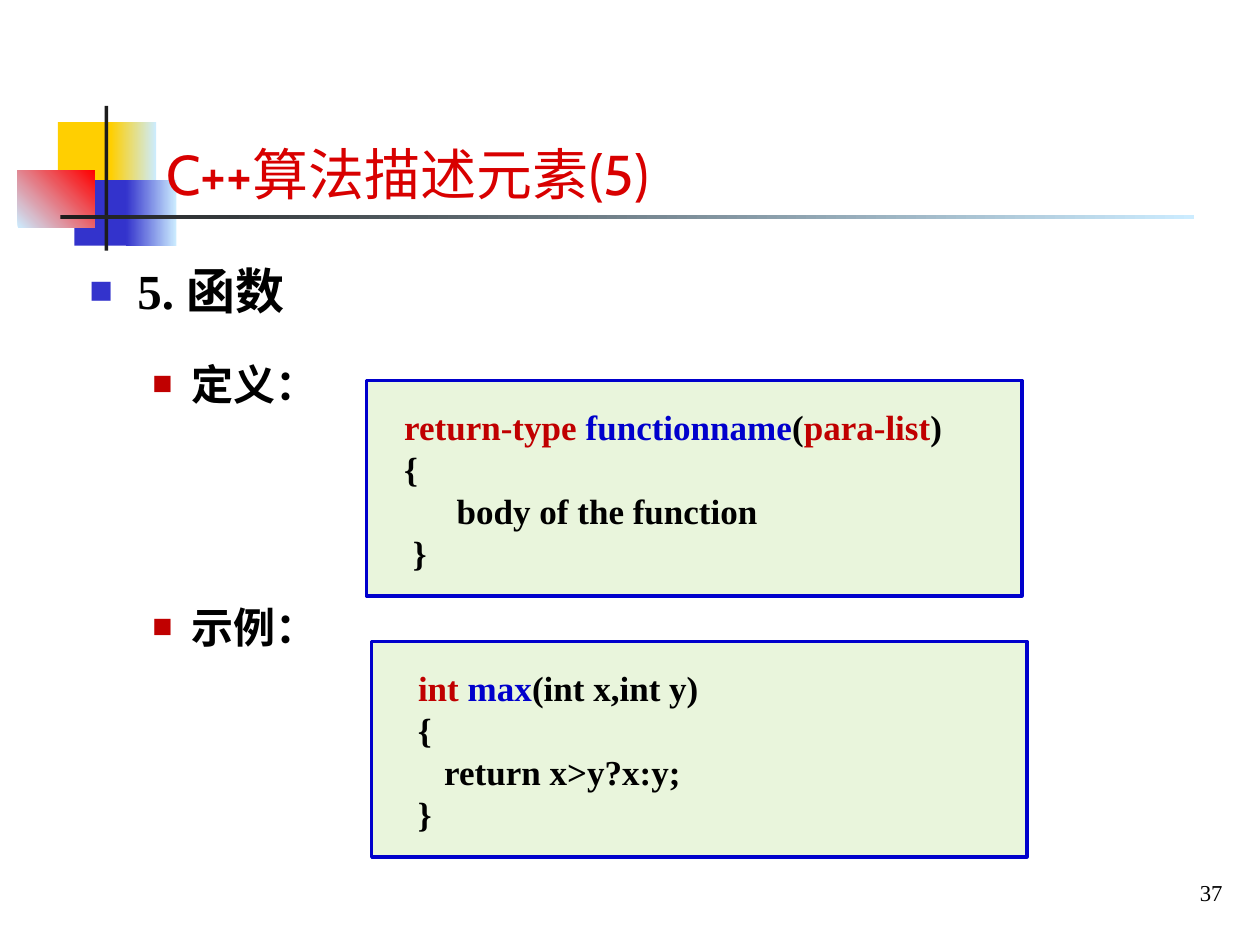
from lxml import etree
from pptx import Presentation
from pptx.dml.color import RGBColor
from pptx.enum import shapes, text
from pptx.oxml import ns
from pptx.util import Inches, Pt

RED, BLUE, BLACK = "C00000", "0000CC", "000000"
GOLD, INDIGO, PALE, DARK = "FFCF01", "3333CC", "CCECFF", "1C1C1C"
SERIF = "Times New Roman"


def rgb(value):
    return RGBColor.from_string(value)


def add_run(paragraph, words, size, color, font=SERIF, bold=True):
    run = paragraph.add_run()
    run.text = words
    for key, value in {"size": Pt(size), "name": font, "bold": bold}.items():
        setattr(run.font, key, value)
    run.font.color.rgb = rgb(color)


prs = Presentation()
prs.slide_width, prs.slide_height = Inches(10), Inches(7.5)
slide = prs.slides.add_slide(prs.slide_layouts[1])
title, body = slide.placeholders

# Corner ornament and rule: position, colours, gradient angle
ornament = [
    ((0.46, 0.97, 0.48, 0.52), [GOLD], 0),
    ((0.88, 0.97, 0.36, 0.52), [GOLD, PALE], 0),
    ((0.59, 1.43, 0.46, 0.52), [INDIGO], 0),
    ((1, 1.43, 0.4, 0.52), [INDIGO, PALE], 0),
    ((0.14, 1.35, 0.61, 0.46), [PALE, "FF0000"], 45),
    ((0.83, 0.84, 0.03, 1.15), [DARK], 0),
    ((0.48, 1.71, 9, 0.03), [DARK, PALE], 0),
]
for place, colors, angle in ornament:
    block = slide.shapes.add_shape(shapes.MSO_SHAPE.RECTANGLE, *map(Inches, place))
    block.shadow.inherit = False
    block.line.fill.background()
    if len(colors) == 1:
        block.fill.solid()
        block.fill.fore_color.rgb = rgb(colors[0])
    else:
        block.fill.gradient()
        block.fill.gradient_angle = angle
        for stop, color in zip(block.fill.gradient_stops, colors):
            stop.color.rgb = rgb(color)

# Title and outline lie above the ornament
for holder, place in ((title, (1.22, 0.6, 8.42, 1.09)), (body, (0.61, 2.02, 8.88, 5.36))):
    holder.left, holder.top, holder.width, holder.height = map(Inches, place)
    holder.text_frame.auto_size = text.MSO_AUTO_SIZE.NONE
    holder.element.getparent().append(holder.element)

title.text_frame.vertical_anchor = text.MSO_ANCHOR.BOTTOM
heading = title.text_frame.paragraphs[0]
heading.alignment = text.PP_ALIGN.LEFT
add_run(heading, "C++算法描述元素(5)", 32, "D80000", "Cabin", False)

# Outline: words, level, size, bullet colour, left margin, hanging indent, space before
outline = [
    ("5. 函数", 0, 28, INDIGO, 0.38, 0.38, 0),
    ("定义：", 1, 24, RED, 0.81, 0.31, 22),
    ("示例：", 1, 24, RED, 0.81, 0.31, 110),
]
for i, (words, level, size, color, margin, hanging, gap) in enumerate(outline):
    item = body.text_frame.add_paragraph() if i else body.text_frame.paragraphs[0]
    item.level = level
    props = item._p.get_or_add_pPr()
    props.set("marL", str(Inches(margin)))
    props.set("indent", str(-Inches(hanging)))
    bullet_color = etree.SubElement(props, ns.qn("a:buClr"))
    etree.SubElement(bullet_color, ns.qn("a:srgbClr"), val=color)
    etree.SubElement(props, ns.qn("a:buSzPct"), val="80000")
    etree.SubElement(props, ns.qn("a:buChar"), char="■")
    item.space_before = Pt(gap)
    add_run(item, words, size, BLACK)

# Code panels: left, top, lines of (words, colour)
panels = [
    (2.91, 3.02, [
        [("return-type ", RED), ("functionname", BLUE), ("(", BLACK),
         ("para-list", RED), (")", BLACK)],
        [("{", BLACK)],
        [("      body of the function", BLACK)],
        [(" }", BLACK)],
    ]),
    (2.95, 5.09, [
        [(" ", BLACK), ("int ", RED), ("max", BLUE), ("(int x,int y)", BLACK)],
        [(" {", BLACK)],
        [("    return x>y?x:y;", BLACK)],
        [(" }", BLACK)],
    ]),
]
for left, top, lines in panels:
    panel = slide.shapes.add_shape(
        shapes.MSO_SHAPE.RECTANGLE, Inches(left), Inches(top), Inches(5.2), Inches(1.71))
    panel.shadow.inherit = False
    panel.fill.solid()
    panel.fill.fore_color.rgb = rgb("92D050")
    tint = panel.element.spPr.find(ns.qn("a:solidFill"))[0]
    etree.SubElement(tint, ns.qn("a:alpha"), val="20000")
    panel.line.color.rgb = rgb(BLUE)
    panel.line.width = Pt(2)

    code = slide.shapes.add_textbox(
        Inches(left + 0.2), Inches(top + 0.15), Inches(5), Inches(1.44)).text_frame
    code.word_wrap = True
    for i, line in enumerate(lines):
        row = code.add_paragraph() if i else code.paragraphs[0]
        for words, color in line:
            add_run(row, words, 20, color)

page = slide.shapes.add_textbox(
    Inches(7.89), Inches(6.9), Inches(1.91), Inches(0.37)).text_frame
page.word_wrap = True
page.vertical_anchor = text.MSO_ANCHOR.MIDDLE
page.paragraphs[0].alignment = text.PP_ALIGN.RIGHT
add_run(page.paragraphs[0], "37", 13, BLACK, bold=False)

prs.save("out.pptx")
